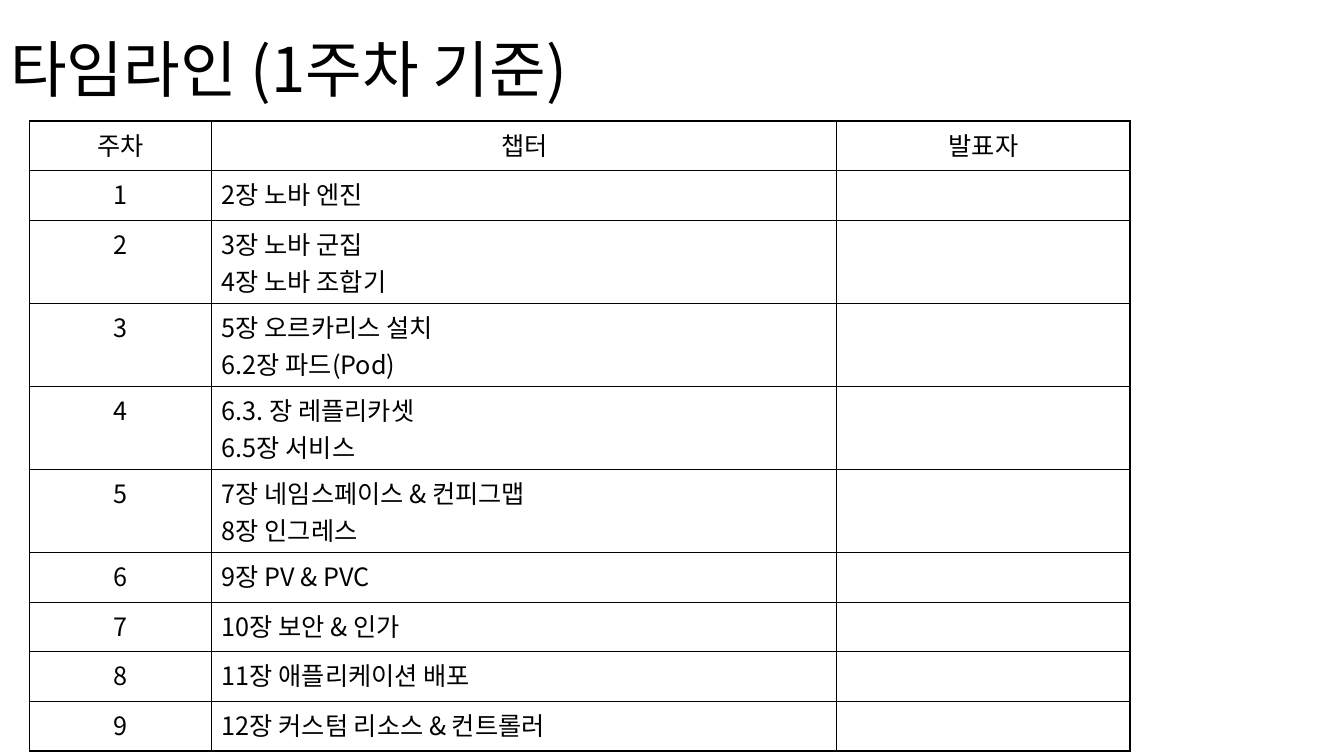
from dataclasses import dataclass

from lxml import etree
from pptx import Presentation
from pptx.dml.color import RGBColor
from pptx.enum import text
from pptx.oxml import ns
from pptx.util import Cm, Pt


@dataclass(frozen=True)
class Theme:
    font: str = "Noto Sans CJK KR"
    ink: RGBColor = RGBColor(0, 0, 0)
    paper: RGBColor = RGBColor(255, 255, 255)
    title_size: Pt = Pt(44)
    body_size: Pt = Pt(18)
    border: Pt = Pt(1)


@dataclass(frozen=True)
class Week:
    label: str
    chapters: tuple[str, ...]
    presenter: str = ""


THEME = Theme()
HEADER = Week("주차", ("챕터",), "발표자")
CHAPTERS = (
    ("2장 노바 엔진",),
    ("3장 노바 군집", "4장 노바 조합기"),
    ("5장 오르카리스 설치", "6.2장 파드(Pod)"),
    ("6.3. 장 레플리카셋", "6.5장 서비스"),
    ("7장 네임스페이스 & 컨피그맵", "8장 인그레스"),
    ("9장 PV & PVC",),
    ("10장 보안 & 인가",),
    ("11장 애플리케이션 배포",),
    ("12장 커스텀 리소스 & 컨트롤러",),
)
WEEKS = [Week(str(n), chapters) for n, chapters in enumerate(CHAPTERS, 1)]
COLUMN_WIDTHS = (Cm(4.6), Cm(15.75), Cm(7.39))
ROW_HEIGHT = Cm(1.25)


def format_text(tf, size: Pt, align: text.PP_ALIGN) -> None:
    for p in tf.paragraphs:
        p.alignment = align
        for r in p.runs:
            r.font.name = THEME.font
            r.font.size = size
            r.font.color.rgb = THEME.ink
            ea = etree.SubElement(r.font._element, ns.qn("a:ea"))
            ea.set("typeface", THEME.font)


def add_borders(cell) -> None:
    """Outline all four sides; border elements must precede the cell fill."""
    props = cell._tc.get_or_add_tcPr()
    for i, side in enumerate(("lnL", "lnR", "lnT", "lnB")):
        line = etree.Element(ns.qn(f"a:{side}"), w=str(THEME.border))
        fill = etree.SubElement(line, ns.qn("a:solidFill"))
        etree.SubElement(fill, ns.qn("a:srgbClr"), val=str(THEME.ink))
        props.insert(i, line)


def add_title(slide, wording: str) -> None:
    title = slide.shapes.title
    title.left, title.top, title.width, title.height = Cm(0), Cm(0), Cm(29.21), Cm(3.68)
    tf = title.text_frame
    tf.text = wording
    tf.vertical_anchor = text.MSO_ANCHOR.MIDDLE
    tf.paragraphs[0].line_spacing = 0.9
    format_text(tf, THEME.title_size, text.PP_ALIGN.LEFT)


def add_timeline(slide, weeks: list[Week]) -> None:
    rows = [HEADER, *weeks]
    table = slide.shapes.add_table(
        len(rows), len(COLUMN_WIDTHS), Cm(0.74), Cm(3.05),
        sum(COLUMN_WIDTHS), ROW_HEIGHT * len(rows),
    ).table
    table.first_row = table.horz_banding = False
    for column, width in zip(table.columns, COLUMN_WIDTHS):
        column.width = width
    for row, week in zip(table.rows, rows):
        row.height = ROW_HEIGHT
        contents = (week.label, "\n".join(week.chapters), week.presenter)
        for i, (cell, content) in enumerate(zip(row.cells, contents)):
            cell.fill.solid()
            cell.fill.fore_color.rgb = THEME.paper
            add_borders(cell)
            cell.text_frame.text = content
            is_chapter = week is not HEADER and i == 1
            align = text.PP_ALIGN.LEFT if is_chapter else text.PP_ALIGN.CENTER
            format_text(cell.text_frame, THEME.body_size, align)


def main() -> None:
    prs = Presentation()
    prs.slide_width, prs.slide_height = Cm(33.87), Cm(19.05)
    slide = prs.slides.add_slide(prs.slide_layouts.get_by_name("Title Only"))
    add_title(slide, "타임라인 (1주차 기준)")
    add_timeline(slide, WEEKS)
    prs.save("out.pptx")


if __name__ == "__main__":
    main()
